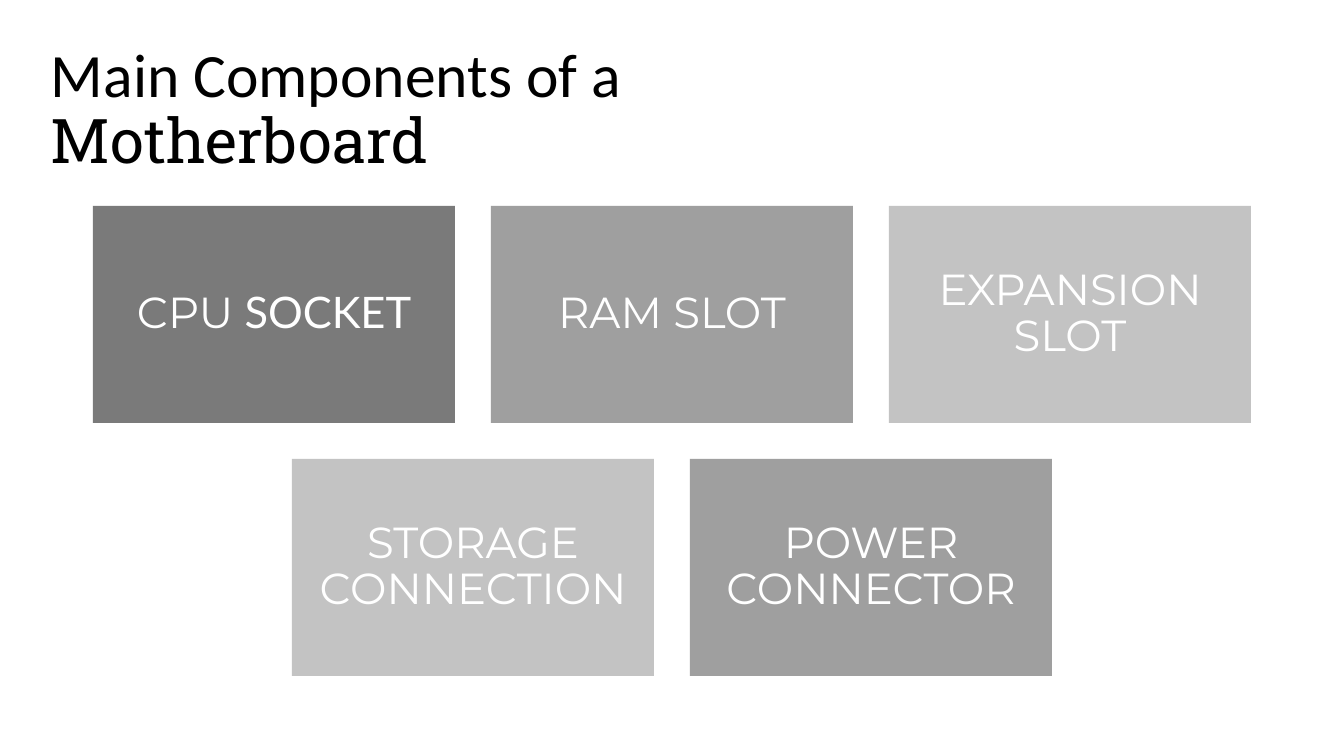
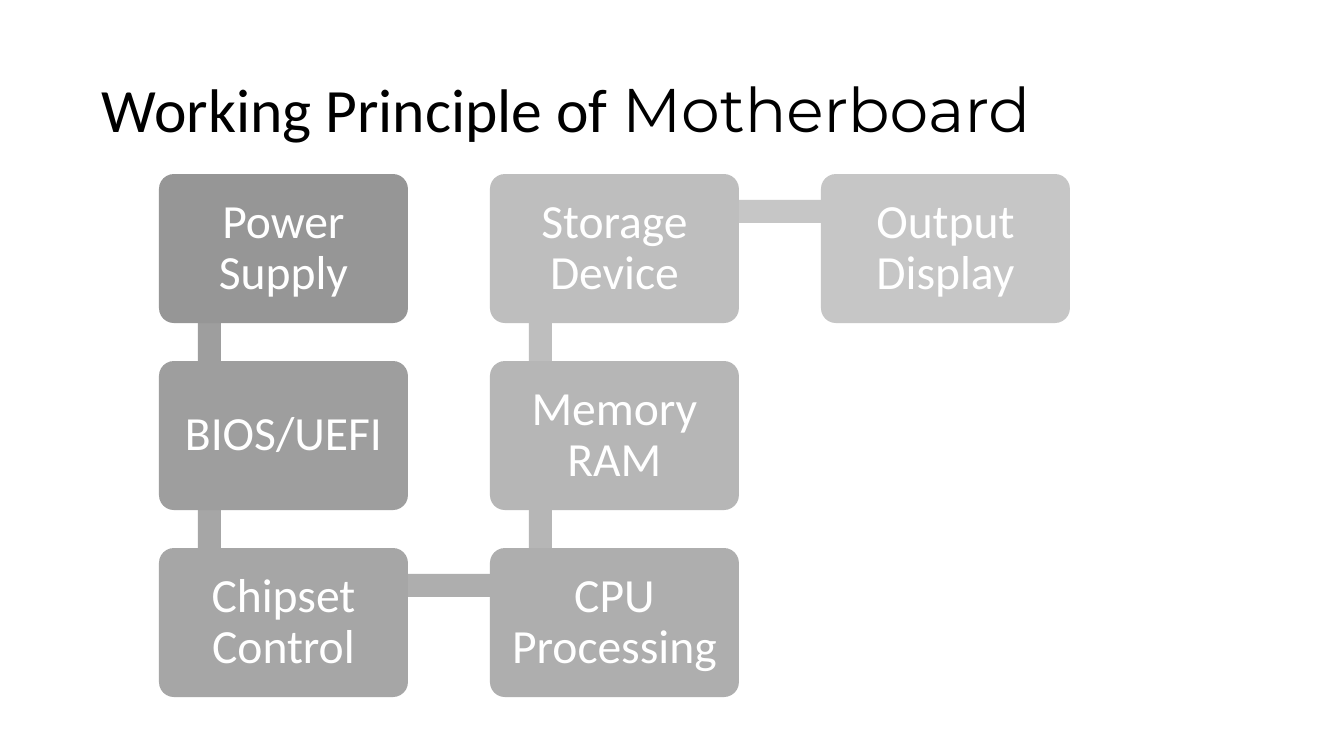
"""Build two slides on the components and working principle of a motherboard."""
import pptx
import pptx.dml.color
import pptx.enum.shapes
import pptx.enum.text
import pptx.util

PX = 914400 / 100.8
RGBColor = pptx.dml.color.RGBColor
SHAPE = pptx.enum.shapes.MSO_SHAPE
ALIGN = pptx.enum.text.PP_ALIGN
BLACK = RGBColor(0x00, 0x00, 0x00)
WHITE = RGBColor(0xFF, 0xFF, 0xFF)
DARK = RGBColor(0x7A, 0x7A, 0x7A)
MEDIUM = RGBColor(0x9F, 0x9F, 0x9F)
LIGHT = RGBColor(0xC3, 0xC3, 0xC3)

TITLE = {"size": 44, "color": BLACK, "align": ALIGN.LEFT, "margins": (10, 5)}
CARD = {"size": 31, "color": WHITE, "align": ALIGN.CENTER, "margins": (13, 13)}
STEP = {"size": 34, "color": WHITE, "align": ALIGN.CENTER, "margins": (14, 14)}


def write(holder, runs, style):
    frame = holder.text_frame
    across, down = (round(margin * PX) for margin in style["margins"])
    layout = {
        "word_wrap": True,
        "vertical_anchor": pptx.enum.text.MSO_ANCHOR.MIDDLE,
        "margin_left": across,
        "margin_right": across,
        "margin_top": down,
        "margin_bottom": down,
    }
    for name, value in layout.items():
        setattr(frame, name, value)
    paragraph = frame.paragraphs[0]
    paragraph.alignment = style["align"]
    paragraph.line_spacing = 0.9
    for text, font_name in runs:
        run = paragraph.add_run()
        run.text = text
        run.font.name = font_name
        run.font.size = pptx.util.Pt(style["size"])
        run.font.color.rgb = style["color"]


def add_block(slide, preset, box, color):
    block = slide.shapes.add_shape(preset, *(round(length * PX) for length in box))
    block.shadow.inherit = False
    block.fill.solid()
    block.fill.fore_color.rgb = color
    block.line.fill.background()
    return block


deck = pptx.Presentation()
deck.slide_width = round(1344 * PX)
deck.slide_height = round(756 * PX)

titles = [
    ((41, 28, 737, 165), [("Main Components of a ", "Calibri"), ("Motherboard", "Roboto Slab")]),
    ((92, 40, 1159, 146), [("Working Principle of ", "Calibri"), ("Motherboard", "Montserrat")]),
]
slides = []
for title_box, title_runs in titles:
    slide = deck.slides.add_slide(deck.slide_layouts[6])
    title = slide.shapes.add_textbox(*(round(length * PX) for length in title_box))
    write(title, title_runs, TITLE)
    slides.append(slide)
components, principle = slides

card_width, card_height, card_gap = 362, 217, 36
cards_top, cards_center = 206, 672
card_rows = [
    [
        ([("CPU ", "Montserrat"), ("SOCKET", "Lato")], DARK),
        ([("RAM SLOT", "Montserrat")], MEDIUM),
        ([("EXPANSION SLOT", "Montserrat")], LIGHT),
    ],
    [
        ([("STORAGE CONNECTION", "Montserrat")], LIGHT),
        ([("POWER CONNECTOR", "Montserrat")], MEDIUM),
    ],
]
for row, cards in enumerate(card_rows):
    row_width = len(cards) * (card_width + card_gap) - card_gap
    top = cards_top + row * (card_height + card_gap)
    for column, (runs, color) in enumerate(cards):
        left = cards_center - row_width // 2 + column * (card_width + card_gap)
        card = add_block(components, SHAPE.RECTANGLE, (left, top, card_width, card_height), color)
        write(card, runs, CARD)

step_width, step_height = 249, 149
column_pitch, row_pitch = 331, 187
steps_left, steps_top = 159, 174
bar_thickness = 22
steps = [
    ("Power Supply", 0, 0),
    ("BIOS/UEFI", 0, 1),
    ("Chipset Control", 0, 2),
    ("CPU Processing", 1, 2),
    ("Memory RAM", 1, 1),
    ("Storage Device", 1, 0),
    ("Output Display", 2, 0),
]
step_grays = [RGBColor(level, level, level) for level in range(0x96, 0xC7, 8)]
for index, (label, column, row) in enumerate(steps):
    left = steps_left + column * column_pitch
    top = steps_top + row * row_pitch
    if index + 1 < len(steps):
        next_column, next_row = steps[index + 1][1:]
        if next_column == column:
            bar_top = steps_top + min(row, next_row) * row_pitch + 37
            bar_box = (left + 39, bar_top, bar_thickness, row_pitch)
        else:
            bar_box = (left + 50, top + 26, column_pitch, bar_thickness)
        bar = add_block(principle, SHAPE.RECTANGLE, bar_box, step_grays[index + 1])
        bar.line.color.rgb = step_grays[index + 1]
        bar.line.width = pptx.util.Pt(0.5)
    step_box = (left, top, step_width, step_height)
    step = add_block(principle, SHAPE.ROUNDED_RECTANGLE, step_box, step_grays[index])
    step.adjustments[0] = 0.1
    write(step, [(label, "Calibri")], STEP)

deck.save("out.pptx")
